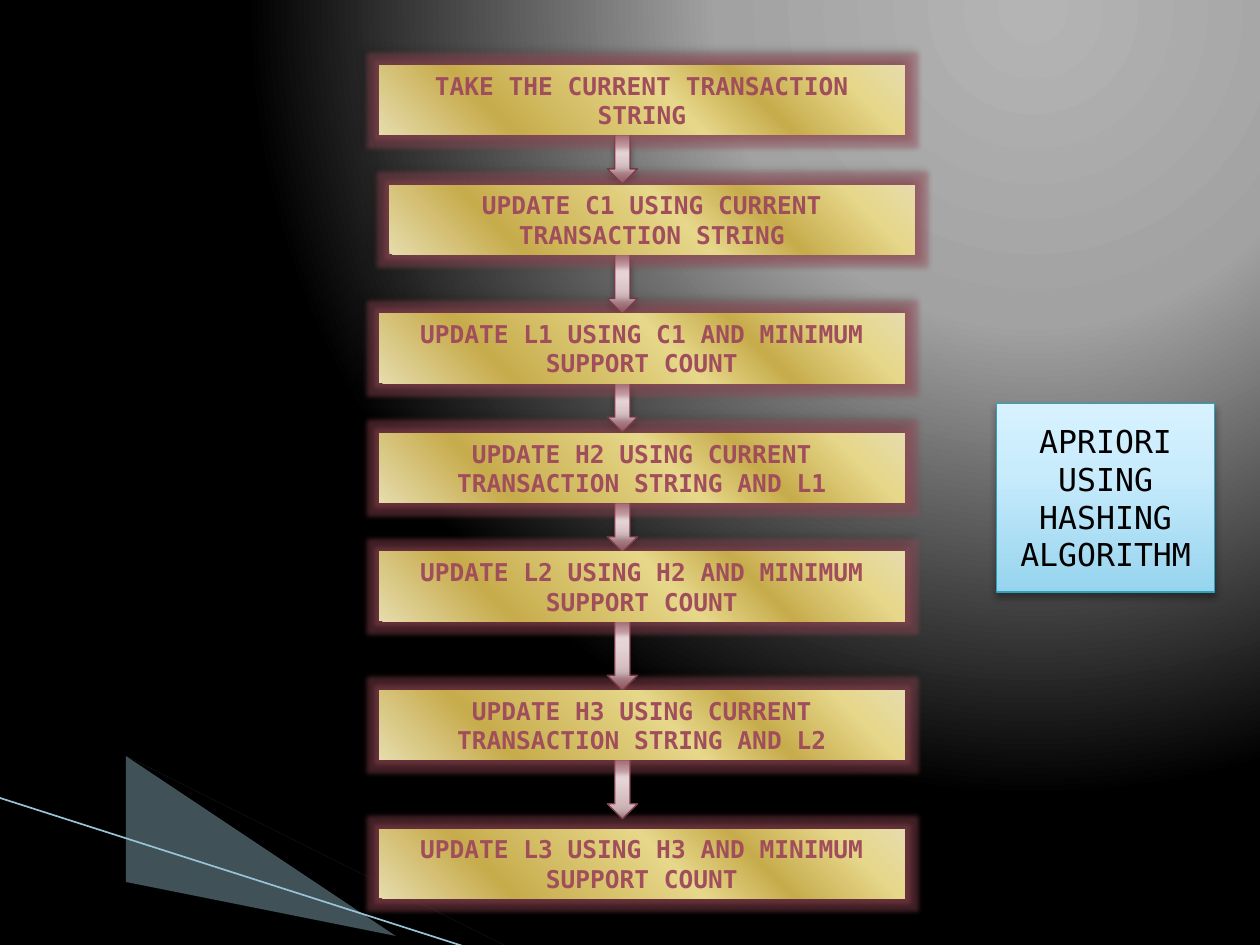
import pptx
import pptx.util
from pptx.dml.color import RGBColor
from pptx.enum.shapes import MSO_SHAPE
from pptx.enum.text import MSO_ANCHOR, PP_ALIGN
from pptx.oxml.ns import qn
from pptx.oxml.xmlchemy import OxmlElement
from pptx.util import Inches

FONT = "DejaVu Sans Mono"
GOLD = [(0, "E6DCAC"), (12, "E6D78A"), (30, "C7AC4C"), (45, "E6D78A"), (77, "C7AC4C"), (100, "E6DCAC")]
ROSE = [(0, "C4A5A9"), (65, "E5D4D7"), (100, "EEE0E2")]
WINE = [(0, "4E0E1C"), (78, "A14E5C"), (100, "F6F0F1")]
SKY = [(0, "96D4EE"), (65, "C9ECFC"), (100, "D7F2FF")]
SPOTLIGHT = [(0, "B4B4B4"), (40, "A2A2A2"), (100, "000000")]

STEP_WIDTH, STEP_HEIGHT = 4.17, 0.55
ARROW_LEFT, ARROW_WIDTH = 4.82, 0.24
# Left, top, length of the arrow below, text
STEPS = [
    (3.01, 0.52, 0.39, "TAKE THE CURRENT TRANSACTION STRING"),
    (3.09, 1.47, 0.47, "UPDATE C1 USING CURRENT TRANSACTION STRING"),
    (3.01, 2.49, 0.39, "UPDATE L1 USING C1 AND MINIMUM SUPPORT COUNT"),
    (3.01, 3.44, 0.39, "UPDATE H2 USING CURRENT TRANSACTION STRING AND L1"),
    (3.01, 4.38, 0.55, "UPDATE L2 USING H2 AND MINIMUM SUPPORT COUNT"),
    (3.01, 5.48, 0.47, "UPDATE H3 USING CURRENT TRANSACTION STRING AND L2"),
    (3.01, 6.58, 0, "UPDATE L3 USING H3 AND MINIMUM SUPPORT COUNT"),
]


def color(hex_string):
    return RGBColor.from_string(hex_string)


def add_element(parent, tag, **attributes):
    element = OxmlElement(tag)
    for name, value in attributes.items():
        element.set(name, str(value))
    parent.append(element)
    return element


def add_color(parent, hex_string, alpha=100):
    element = add_element(parent, "a:srgbClr", val=hex_string)
    if alpha < 100:
        add_element(element, "a:alpha", val=alpha * 1000)


def set_gradient(fill, owner, stops, angle=None, focus=None):
    """Fill linearly at an angle, or in circles around a focus (left, top, right, bottom in percent)."""
    fill.gradient()
    gradient = owner.find(".//" + qn("a:gradFill"))
    for child in list(gradient):
        gradient.remove(child)
    stop_list = add_element(gradient, "a:gsLst")
    for position, hex_string in stops:
        add_color(add_element(stop_list, "a:gs", pos=position * 1000), hex_string)
    if focus is None:
        add_element(gradient, "a:lin", ang=angle * 60000, scaled=1)
    else:
        circle = add_element(gradient, "a:path", path="circle")
        add_element(circle, "a:fillToRect", **{side: value * 1000 for side, value in zip("ltrb", focus)})


def set_effects(shape, alpha, direction, glow=None):
    shape.shadow.inherit = False
    effects = shape.element.spPr.find(qn("a:effectLst"))
    if glow:
        add_color(add_element(effects, "a:glow", rad=pptx.util.Pt(5)), glow, 40)
    shadow = add_element(effects, "a:outerShdw", blurRad=pptx.util.Pt(4), dist=pptx.util.Pt(3),
                         dir=direction * 60000, algn="ctr", rotWithShape=0)
    add_color(shadow, "000000", alpha)


def set_line(line, hex_string, width):
    line.color.rgb = color(hex_string)
    line.width = pptx.util.Pt(width)


def add_preset(slide, preset, box):
    return slide.shapes.add_shape(preset, *(Inches(length) for length in box))


def set_text(shape, text, size, bold=False):
    """Write centred text and return its run."""
    frame = shape.text_frame
    frame.word_wrap = True
    frame.vertical_anchor = MSO_ANCHOR.MIDDLE
    frame.text = text
    paragraph = frame.paragraphs[0]
    paragraph.alignment = PP_ALIGN.CENTER
    run = paragraph.runs[0]
    run.font.name = FONT
    run.font.size = pptx.util.Pt(size)
    run.font.bold = bold
    return run


def add_polygon(slide, points, hex_string, alpha=100):
    builder = slide.shapes.build_freeform(*points[0], scale=Inches(1))
    builder.add_line_segments(points[1:], close=True)
    shape = builder.convert_to_shape()
    shape.shadow.inherit = False
    shape.fill.solid()
    shape.fill.fore_color.rgb = color(hex_string)
    if alpha < 100:
        add_element(shape.element.spPr.find(".//" + qn("a:srgbClr")), "a:alpha", val=alpha * 1000)
    shape.line.fill.background()


def add_backdrop(slide):
    set_gradient(slide.background.fill, slide.element, SPOTLIGHT, focus=(65, 0, 0, 98))
    add_polygon(slide, [(0.55, 6.51), (5.95, 7.51), (4.56, 7.51), (0.55, 6.5)], "A0CBDC", 40)
    add_polygon(slide, [(0.53, 6.49), (4.57, 7.51), (3.72, 7.52), (0.54, 6.5)], "000000")
    line = slide.shapes.add_connector(pptx.enum.shapes.MSO_CONNECTOR.STRAIGHT, Inches(-0.01), Inches(6.33),
                                      Inches(3.71), Inches(7.52))
    set_line(line.line, "97C5D8", 0.95)
    add_element(line.element.spPr, "a:effectLst")


def add_arrow(slide, box):
    arrow = add_preset(slide, MSO_SHAPE.DOWN_ARROW, box)
    set_gradient(arrow.fill, arrow.element, ROSE, angle=270)
    set_line(arrow.line, "7D3C4A", 0.75)
    set_effects(arrow, 35, 90)


def add_step(slide, box, text):
    step = add_preset(slide, MSO_SHAPE.RECTANGLE, box)
    set_gradient(step.fill, step.element, GOLD, focus=(100, 0, 0, 100))
    step.line.fill.background()
    set_effects(step, 40, 225, glow="A14E5C")
    run = set_text(step, text, 14, bold=True)
    set_gradient(run.font.fill, run._r, WINE, angle=90)


def add_flow(slide):
    for _, top, length, _ in STEPS[:-1]:
        add_arrow(slide, (ARROW_LEFT, top + STEP_HEIGHT, ARROW_WIDTH, length))
    for left, top, _, text in STEPS:
        add_step(slide, (left, top, STEP_WIDTH, STEP_HEIGHT), text)


def add_title_card(slide, box):
    card = add_preset(slide, MSO_SHAPE.RECTANGLE, box)
    set_gradient(card.fill, card.element, SKY, angle=270)
    set_line(card.line, "2DA2BF", 0.75)
    set_effects(card, 35, 90)
    run = set_text(card, "APRIORI USING HASHING ALGORITHM", 18)
    run.font.color.rgb = color("000000")


def main():
    presentation = pptx.Presentation()
    presentation.slide_width = Inches(10)
    presentation.slide_height = Inches(7.5)
    slide = presentation.slides.add_slide(presentation.slide_layouts[6])
    add_backdrop(slide)
    add_flow(slide)
    add_title_card(slide, (7.91, 3.2, 1.73, 1.5))
    presentation.save("out.pptx")


if __name__ == "__main__":
    main()
